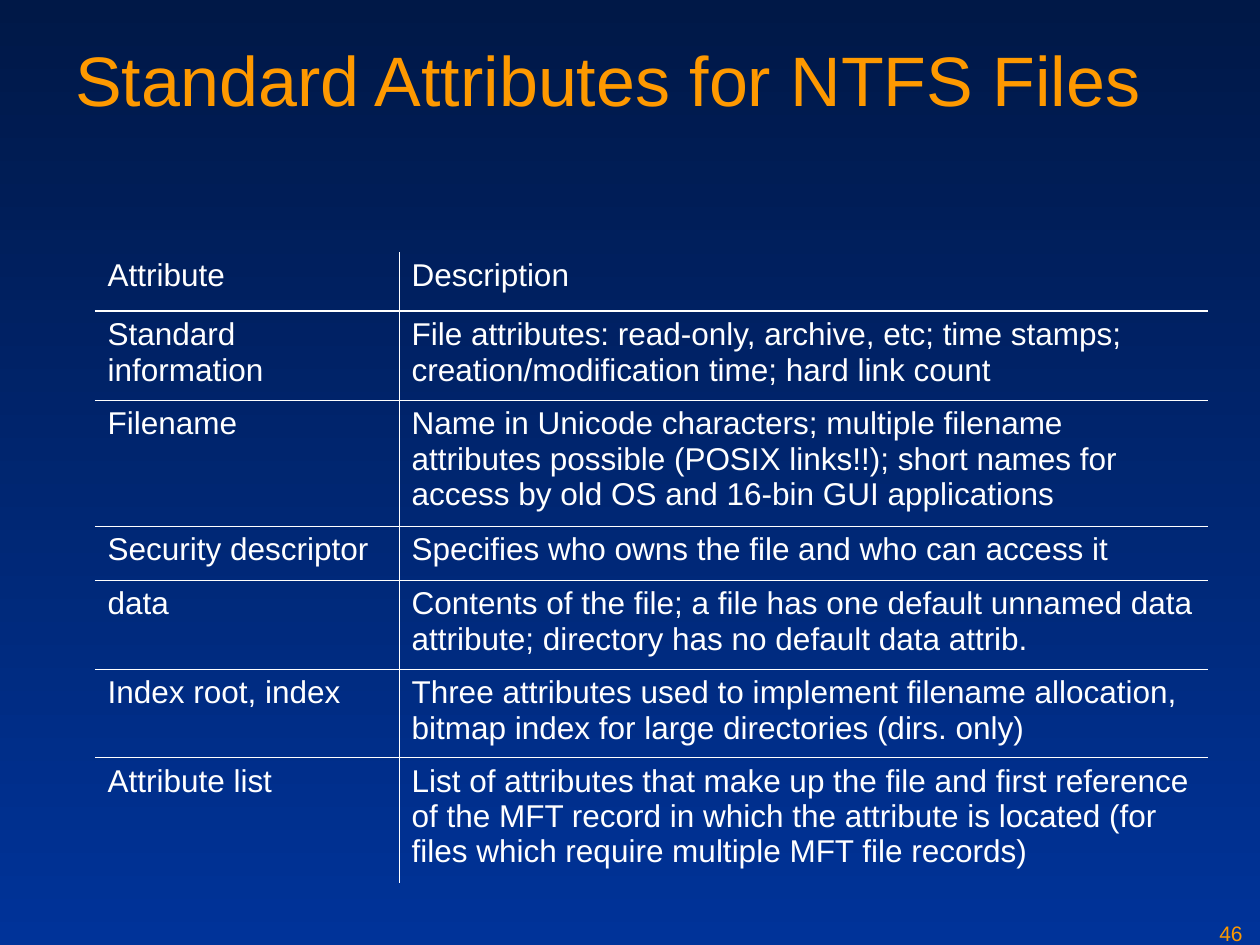
from pptx import Presentation
from pptx.dml.color import RGBColor
from pptx.oxml import parse_xml
from pptx.oxml.ns import nsdecls
from pptx.util import Pt

PX = 914400 // 126
ORANGE = RGBColor(0xFE, 0x99, 0x00)
WHITE = RGBColor(0xFF, 0xFF, 0xFF)
NAVY = RGBColor(0x00, 0x18, 0x47)
BLUE = RGBColor(0x00, 0x33, 0x99)
FONT = "Arial"
HAIRLINE, HEADER_LINE = Pt(0.45), Pt(1.08)

ROWS = [
    (59, "Attribute", "Description"),
    (89, "Standard information",
     "File attributes: read-only, archive, etc; time stamps; "
     "creation/modification time; hard link count"),
    (126, "Filename",
     "Name in Unicode characters; multiple filename attributes possible "
     "(POSIX links!!); short names for access by old OS and 16-bin GUI applications"),
    (54, "Security descriptor", "Specifies who owns the file and who can access it"),
    (89, "data",
     "Contents of the file; a file has one default unnamed data attribute; "
     "directory has no default data attrib."),
    (88, "Index root, index",
     "Three attributes used to implement filename allocation, "
     "bitmap index for large directories (dirs. only)"),
    (126, "Attribute list",
     "List of attributes that make up the file and first reference of the MFT record "
     "in which the attribute is located (for files which require multiple MFT file records)"),
]
COL_WIDTHS = (304, 809)


def add_text(text, x, y, w, h, size):
    tf = slide.shapes.add_textbox(x * PX, y * PX, w * PX, h * PX).text_frame
    tf.word_wrap = True
    p = tf.paragraphs[0]
    p.text = text
    p.font.name, p.font.size, p.font.color.rgb = FONT, Pt(size), ORANGE


def set_borders(cell, widths):
    """Set the cell's edges from a dict of side to width; a width of 0 hides the edge."""
    tc_pr = cell._tc.get_or_add_tcPr()
    for i, side in enumerate("LRTB"):
        width = widths[side]
        fill = f'<a:solidFill><a:srgbClr val="{WHITE}"/></a:solidFill>' if width else "<a:noFill/>"
        tc_pr.insert(i, parse_xml(f'<a:ln{side} {nsdecls("a")} w="{width}">{fill}</a:ln{side}>'))


prs = Presentation()
prs.slide_width, prs.slide_height = 1260 * PX, 945 * PX
slide = prs.slides.add_slide(prs.slide_layouts[6])

background = slide.background.fill
background.gradient()
background.gradient_angle = 270
for stop, color in zip(background.gradient_stops, (NAVY, BLUE)):
    stop.color.rgb = color

add_text("46", 1207, 914, 53, 31, 12)
add_text("Standard Attributes for NTFS Files", 63, 30, 1134, 158, 40)

table = slide.shapes.add_table(
    len(ROWS), len(COL_WIDTHS), 95 * PX, 252 * PX,
    sum(COL_WIDTHS) * PX, sum(row[0] for row in ROWS) * PX).table
table.first_row = table.horz_banding = False
for column, width in zip(table.columns, COL_WIDTHS):
    column.width = width * PX

last = len(ROWS) - 1
for r, (height, *texts) in enumerate(ROWS):
    table.rows[r].height = height * PX
    for c, text in enumerate(texts):
        cell = table.cell(r, c)
        cell.fill.background()
        p = cell.text_frame.paragraphs[0]
        p.text = text
        p.space_before = p.space_after = Pt(4.5)
        p.font.name, p.font.size, p.font.color.rgb = FONT, Pt(18), WHITE
        set_borders(cell, {
            "L": HAIRLINE if c == 1 else 0,
            "R": HAIRLINE if c == 0 else 0,
            "T": (0, HEADER_LINE)[r] if r < 2 else HAIRLINE,
            "B": HEADER_LINE if r == 0 else 0 if r == last else HAIRLINE,
        })

prs.save("out.pptx")
